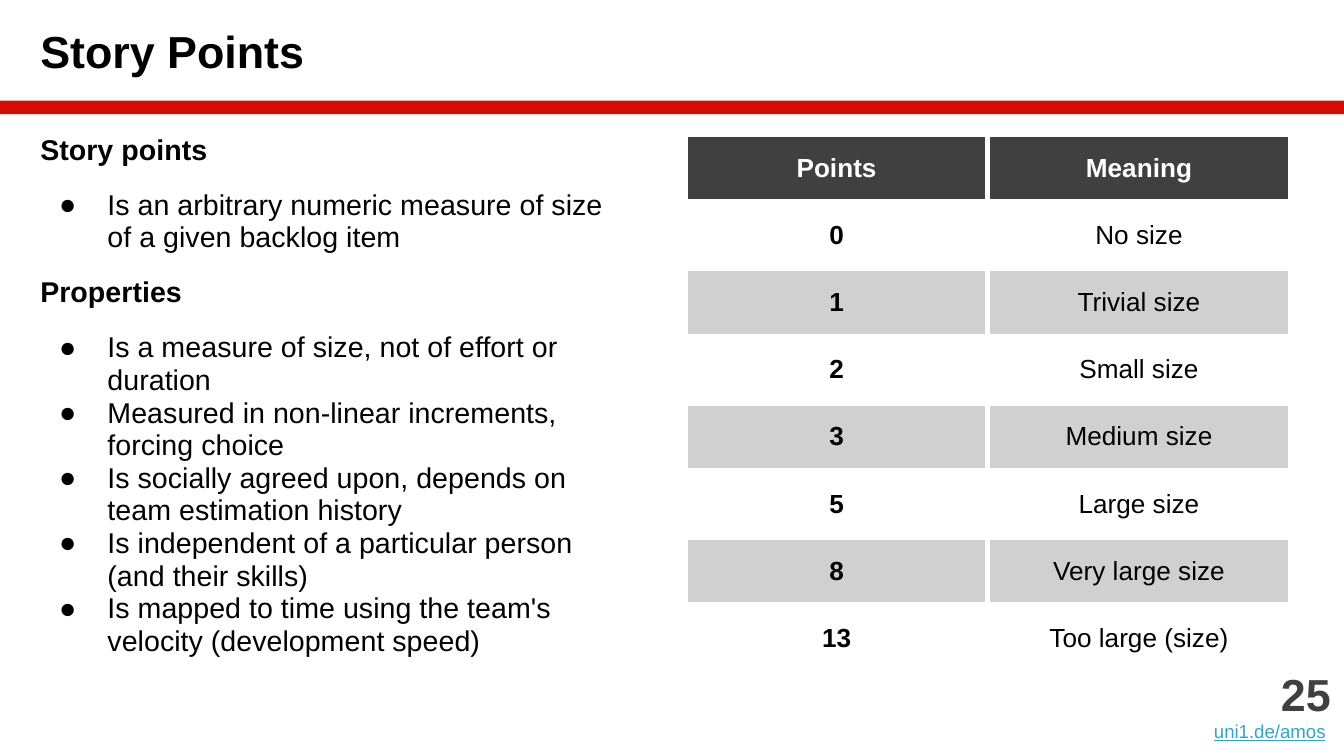
from dataclasses import dataclass

from lxml import etree
from pptx import Presentation
from pptx.dml.color import RGBColor
from pptx.enum.shapes import MSO_SHAPE
from pptx.enum.text import MSO_ANCHOR, PP_ALIGN
from pptx.oxml.ns import qn
from pptx.util import Inches, Pt

RECTANGLE = MSO_SHAPE.RECTANGLE
TOP, MIDDLE, BOTTOM = MSO_ANCHOR.TOP, MSO_ANCHOR.MIDDLE, MSO_ANCHOR.BOTTOM
LEFT, CENTER, RIGHT = PP_ALIGN.LEFT, PP_ALIGN.CENTER, PP_ALIGN.RIGHT

SLIDE_WIDTH = 10
SLIDE_HEIGHT = SLIDE_WIDTH * 9 / 16

SECTIONS = [
    ("Story points", ["Is an arbitrary numeric measure of size of a given backlog item"]),
    ("Properties", [
        "Is a measure of size, not of effort or duration",
        "Measured in non-linear increments, forcing choice",
        "Is socially agreed upon, depends on team estimation history",
        "Is independent of a particular person (and their skills)",
        "Is mapped to time using the team's velocity (development speed)",
    ]),
]
POINT_SCALE = [
    ("Points", "Meaning"),
    ("0", "No size"),
    ("1", "Trivial size"),
    ("2", "Small size"),
    ("3", "Medium size"),
    ("5", "Large size"),
    ("8", "Very large size"),
    ("13", "Too large (size)"),
]


@dataclass(frozen=True)
class Theme:
    """Fonts, type sizes and colours of the slide."""

    font: str = "Arial"
    title_size: float = 24
    body_size: float = 15.3
    table_size: float = 14
    link_size: float = 10
    line_spacing: float = 0.95
    gap: float = 12
    border: float = 3
    text: str = "000000"
    white: str = "FFFFFF"
    accent: str = "D50D01"
    dark: str = "404040"
    band: str = "D0D0D0"
    link: str = "34A3C5"


class SlideBuilder:
    """Draws themed elements on one slide."""

    def __init__(self, slide, theme):
        self.slide = slide
        self.theme = theme

    def style(self, run, size, color, bold=False, underline=False):
        """Format one run."""
        run.font.name = self.theme.font
        run.font.size = Pt(size)
        run.font.bold = bold
        run.font.underline = underline
        run.font.color.rgb = RGBColor.from_string(color)

    def frame(self, shape, box, insets, anchor):
        """Place a shape and set up its text frame."""
        shape.left, shape.top, shape.width, shape.height = map(Inches, box)
        text_frame = shape.text_frame
        text_frame.word_wrap = True
        text_frame.vertical_anchor = anchor
        (text_frame.margin_left, text_frame.margin_top,
         text_frame.margin_right, text_frame.margin_bottom) = map(Inches, insets)
        return text_frame

    def text_box(self, box, insets, anchor):
        """Add an empty text box and return its text frame."""
        shape = self.slide.shapes.add_textbox(*map(Inches, box))
        return self.frame(shape, box, insets, anchor)

    def title(self, text, box):
        """Fill and place the title placeholder."""
        text_frame = self.frame(self.slide.shapes.title, box, (0.3, 0, 0, 0), MIDDLE)
        text_frame.text = text
        paragraph = text_frame.paragraphs[0]
        paragraph.alignment = LEFT
        self.style(paragraph.runs[0], self.theme.title_size, self.theme.text, bold=True)

    def bar(self, box):
        """Add the accent bar."""
        shape = self.slide.shapes.add_shape(RECTANGLE, *map(Inches, box))
        shape.shadow.inherit = False
        shape.fill.solid()
        shape.fill.fore_color.rgb = RGBColor.from_string(self.theme.accent)
        shape.line.fill.background()

    def bullet(self, paragraph):
        """Give a paragraph a hanging bullet."""
        properties = paragraph._p.get_or_add_pPr()
        properties.set("marL", str(Inches(0.5)))
        properties.set("indent", str(Inches(-0.36)))
        color = etree.SubElement(properties, qn("a:buClr"))
        etree.SubElement(color, qn("a:srgbClr"), val=self.theme.text)
        etree.SubElement(properties, qn("a:buFont"), typeface=self.theme.font)
        etree.SubElement(properties, qn("a:buChar"), char="●")

    def sections(self, sections, box):
        """Add headings, each followed by its bullets."""
        text_frame = self.text_box(box, (0, 0, 0.1, 0.1), TOP)
        lines = [(text, level) for heading, items in sections
                 for level, text in enumerate([heading, *items])]
        for index, (text, level) in enumerate(lines):
            paragraph = text_frame.add_paragraph() if index else text_frame.paragraphs[0]
            paragraph.text = text
            if level:
                self.bullet(paragraph)
            paragraph.line_spacing = self.theme.line_spacing
            if index and level < 2:
                paragraph.space_before = Pt(self.theme.gap)
            self.style(paragraph.runs[0], self.theme.body_size, self.theme.text, bold=not level)

    def borders(self, cell):
        """Draw white borders around a cell."""
        properties = cell._tc.get_or_add_tcPr()
        for side in ("lnL", "lnR", "lnT", "lnB"):
            line = etree.SubElement(properties, qn(f"a:{side}"), w=str(Pt(self.theme.border)))
            fill = etree.SubElement(line, qn("a:solidFill"))
            etree.SubElement(fill, qn("a:srgbClr"), val=self.theme.white)

    def cell(self, cell, text, fill, color, bold):
        """Fill and format one table cell."""
        self.borders(cell)
        cell.fill.solid()
        cell.fill.fore_color.rgb = RGBColor.from_string(fill)
        cell.vertical_anchor = MIDDLE
        cell.margin_left = cell.margin_right = cell.margin_top = cell.margin_bottom = Inches(0.1)
        cell.text_frame.text = text
        paragraph = cell.text_frame.paragraphs[0]
        paragraph.alignment = CENTER
        self.style(paragraph.runs[0], self.theme.table_size, color, bold)

    def table(self, rows, box):
        """Add a banded table with a dark header."""
        theme = self.theme
        shape = self.slide.shapes.add_table(len(rows), len(rows[0]), *map(Inches, box))
        for row, values in enumerate(rows):
            header = row == 0
            fill = theme.dark if header else (theme.white if row % 2 else theme.band)
            color = theme.white if header else theme.text
            for column, text in enumerate(values):
                self.cell(shape.table.cell(row, column), text, fill, color,
                          bold=header or column == 0)

    def footer(self, number, address, box):
        """Add the page number above the underlined address."""
        theme = self.theme
        text_frame = self.text_box(box, (0.1, 0.1, 0.1, 0.1), BOTTOM)
        text_frame.text = f"{number}\n{address}"
        number_line, address_line = text_frame.paragraphs
        number_line.alignment = address_line.alignment = RIGHT
        self.style(number_line.runs[0], theme.title_size, theme.dark, bold=True)
        self.style(address_line.runs[0], theme.link_size, theme.link, underline=True)
        space = address_line.add_run()
        space.text = " "
        self.style(space, theme.link_size, theme.dark)


def main():
    """Build the story points slide."""
    presentation = Presentation()
    presentation.slide_width = Inches(SLIDE_WIDTH)
    presentation.slide_height = Inches(SLIDE_HEIGHT)
    slide = presentation.slides.add_slide(presentation.slide_layouts.get_by_name("Title Only"))
    builder = SlideBuilder(slide, Theme())
    builder.bar((0, 0.75, SLIDE_WIDTH, 0.1))
    builder.title("Story Points", (0, 0, SLIDE_WIDTH, 0.75))
    builder.sections(SECTIONS, (0.3, 1, 4.5, 4.5))
    builder.footer("25", "uni1.de/amos", (SLIDE_WIDTH - 2, SLIDE_HEIGHT - 1, 2, 1))
    builder.table(POINT_SCALE, (5.1, 1, 4.5, 4))
    presentation.save("out.pptx")


if __name__ == "__main__":
    main()
